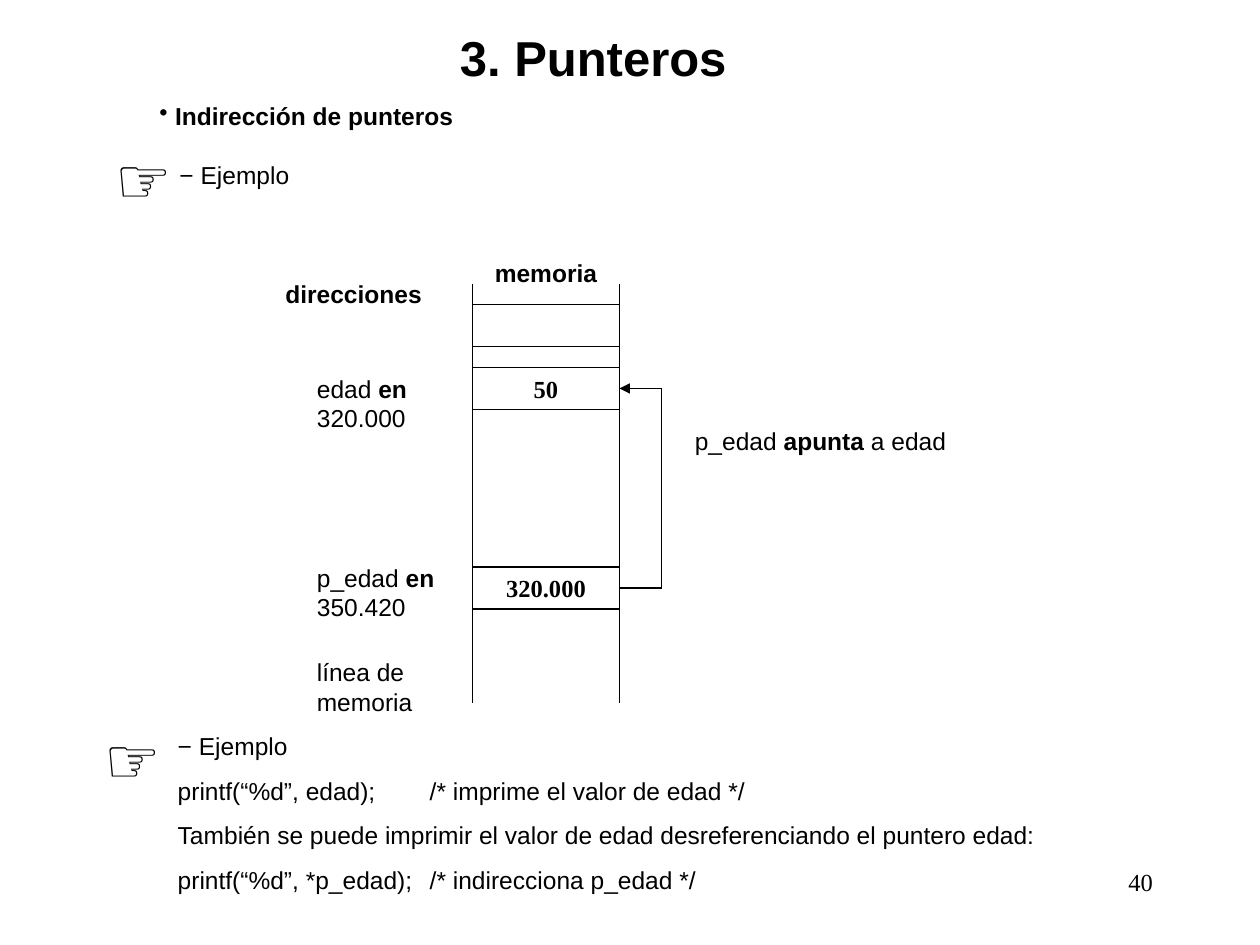
from pptx import Presentation
from pptx.dml.color import RGBColor
from pptx.enum.shapes import MSO_CONNECTOR, MSO_SHAPE
from pptx.enum.text import MSO_ANCHOR as ANCHOR, MSO_AUTO_SIZE, PP_ALIGN as ALIGN
from pptx.oxml.ns import qn
from pptx.util import Pt
from lxml.etree import SubElement

COLORS = {"ink": "000000"}
SANS, SERIF = "Arial", "Times New Roman"

TITLE = ("3. Punteros", (210, 12, 258, 41))
HEADING = [["", "Indirección de punteros"], ["− Ejemplo"]]
HANDS = [(59, 77), (52.5, 408)]
LABELS = [
    ([["", "direcciones"]], (156, 156, 108, 25), ALIGN.LEFT),
    ([["", "memoria"]], (258, 144, 108, 25), ALIGN.CENTER),
    ([["edad ", "en", " 320.000"]], (174, 210, 90, 41), ALIGN.LEFT),
    ([["p_edad ", "en", " 350.420"]], (174, 318, 90, 41), ALIGN.LEFT),
    ([["línea de"], ["memoria"]], (174, 372, 108, 40), ALIGN.LEFT),
    ([["p_edad ", "apunta", " a edad"]], (390, 240, 180, 25), ALIGN.LEFT),
]
EXAMPLE = [
    ["− Ejemplo"],
    ["printf(“%d”, edad);\t/* imprime el valor de edad */"],
    ["También se puede imprimir el valor de edad desreferenciando el puntero edad:"],
    ["printf(“%d”, *p_edad);\t/* indirecciona p_edad */"],
]
PAGE = "40"

LEFT, RIGHT, TOP, BOTTOM = 270, 354, 162, 402
CELL_H = 24
CELLS = [(174, ""), (210, "50"), (324, "320.000")]
BEND = 378


def write(tf, paras, size=14, font=SANS, align=ALIGN.LEFT, anchor=ANCHOR.TOP,
          wrap=True, gap=0, bullet=None, tab=None):
    tf.auto_size = MSO_AUTO_SIZE.NONE
    tf.word_wrap = wrap
    tf.vertical_anchor = anchor
    for i, runs in enumerate(paras):
        p = tf.paragraphs[0] if i == 0 else tf.add_paragraph()
        p.alignment = align
        p.space_before = Pt(gap if i else 0)
        pPr = p._p.get_or_add_pPr()
        if bullet and i == 0:
            pPr.set("marL", str(Pt(9)))
            pPr.set("indent", str(-Pt(9)))
            SubElement(pPr, qn("a:buChar"), char=bullet)
        elif bullet:
            pPr.set("marL", str(Pt(11.5)))
        if tab and "\t" in runs[0]:
            tabs = SubElement(pPr, qn("a:tabLst"))
            SubElement(tabs, qn("a:tab"), pos=str(Pt(tab)), algn="l")
        for j, text in enumerate(runs):
            if not text:
                continue
            r = p.add_run()
            r.text = text
            r.font.size = Pt(size)
            r.font.name = font
            r.font.bold = j % 2 == 1
            r.font.color.rgb = RGBColor.from_string(COLORS["ink"])


def add_text(s, paras, box, **fmt):
    write(s.shapes.add_textbox(*map(Pt, box)).text_frame, paras, **fmt)


def set_line(sp):
    sp.line.color.rgb = RGBColor.from_string(COLORS["ink"])
    sp.line.width = Pt(0.75)


def add_line(s, start, end, arrow=False):
    c = s.shapes.add_connector(MSO_CONNECTOR.STRAIGHT, *map(Pt, start + end))
    set_line(c)
    if arrow:
        SubElement(c.line._get_or_add_ln(), qn("a:headEnd"), type="triangle")
    SubElement(c._element.spPr, qn("a:effectLst"))


def add_memory(s):
    for x in (LEFT, RIGHT):
        add_line(s, (x, TOP), (x, BOTTOM))
    for y, value in CELLS:
        sp = s.shapes.add_shape(MSO_SHAPE.RECTANGLE, Pt(LEFT), Pt(y),
                                Pt(RIGHT - LEFT), Pt(CELL_H))
        sp.shadow.inherit = False
        sp.fill.background()
        set_line(sp)
        if value:
            write(sp.text_frame, [["", value]], font=SERIF, align=ALIGN.CENTER,
                  anchor=ANCHOR.MIDDLE, wrap=False)
    target, source = (y + CELL_H / 2 for y, _ in CELLS[1:])
    route = [(RIGHT, target), (BEND, target), (BEND, source), (RIGHT, source)]
    for i, (start, end) in enumerate(zip(route, route[1:])):
        add_line(s, start, end, arrow=i == 0)


def main():
    prs = Presentation()
    prs.slide_width, prs.slide_height = Pt(720), Pt(540)
    s = prs.slides.add_slide(prs.slide_layouts[5])

    text, box = TITLE
    title = s.shapes.title
    title.left, title.top, title.width, title.height = map(Pt, box)
    write(title.text_frame, [["", text]], size=28, align=ALIGN.CENTER)

    add_text(s, HEADING, (84, 54, 498, 65), gap=17, bullet="•")
    for x, y in HANDS:
        add_text(s, [["☞"]], (x, y, 53, 44), size=36)
    add_memory(s)
    for paras, box, align in LABELS:
        add_text(s, paras, box, align=align)
    add_text(s, EXAMPLE, (94.5, 414, 534, 101), gap=8.8, tab=144)
    add_text(s, [[PAGE]], (516, 492, 150, 36), font=SERIF, align=ALIGN.RIGHT)

    prs.save("out.pptx")


if __name__ == "__main__":
    main()
